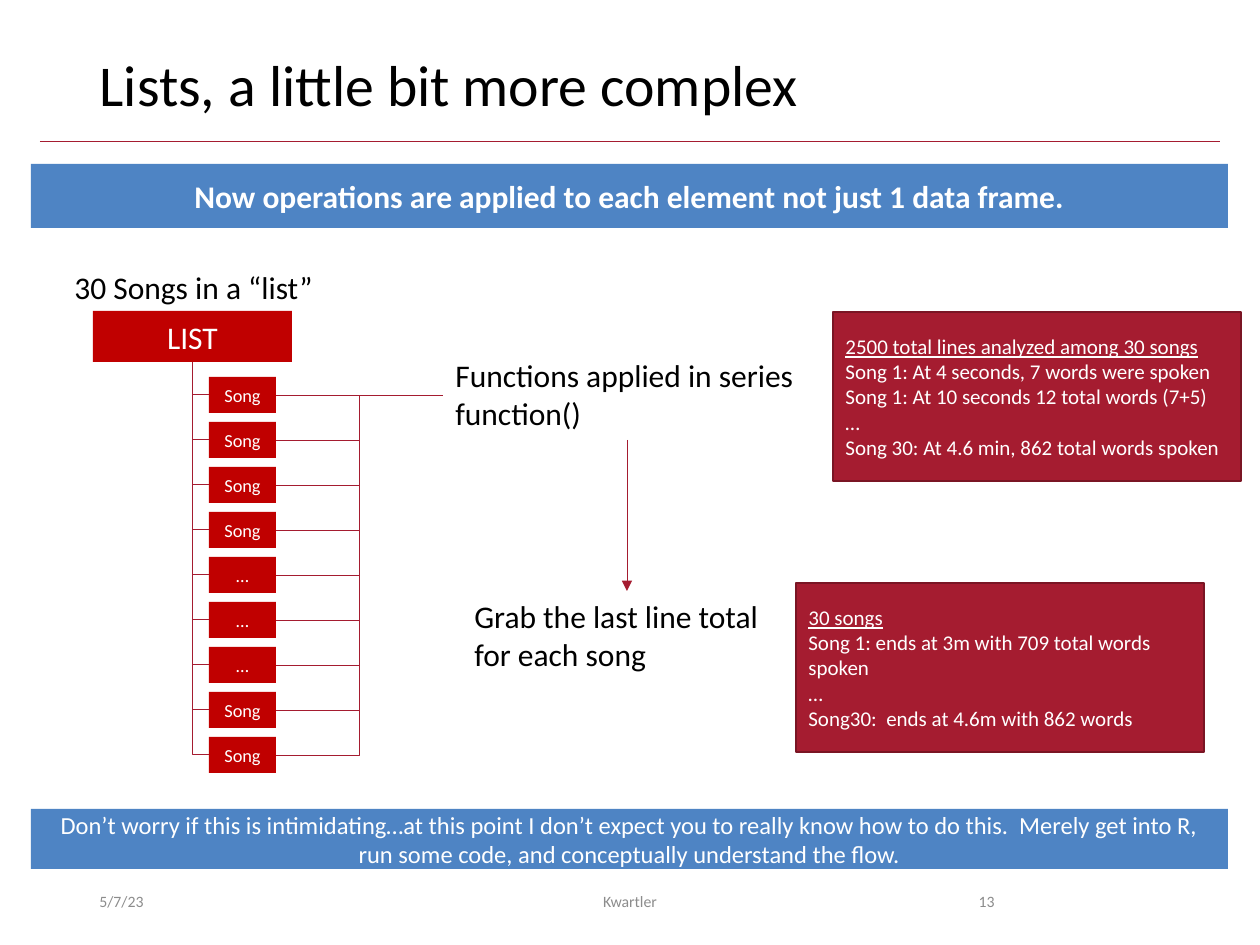
"""Build the slide that explains applying functions to a list of songs."""
from dataclasses import dataclass

from lxml import etree
from pptx import Presentation
from pptx.dml.color import RGBColor
from pptx.enum.shapes import MSO_CONNECTOR, MSO_SHAPE
from pptx.enum.text import MSO_ANCHOR, MSO_AUTO_SIZE, PP_ALIGN
from pptx.oxml.ns import qn
from pptx.shapes.autoshape import Shape
from pptx.shapes.connector import Connector
from pptx.slide import Slide
from pptx.util import Emu, Pt

RECTANGLE = MSO_SHAPE.RECTANGLE
STRAIGHT, ELBOW = MSO_CONNECTOR.STRAIGHT, MSO_CONNECTOR.ELBOW
TOP_ANCHOR, MIDDLE = MSO_ANCHOR.TOP, MSO_ANCHOR.MIDDLE
LEFT_ALIGN, CENTER, RIGHT_ALIGN = PP_ALIGN.LEFT, PP_ALIGN.CENTER, PP_ALIGN.RIGHT
NO_FIT, GROW = MSO_AUTO_SIZE.NONE, MSO_AUTO_SIZE.SHAPE_TO_FIT_TEXT
TOP, LEFT, BOTTOM, RIGHT = range(4)

BLACK = RGBColor(0x00, 0x00, 0x00)
WHITE = RGBColor(0xFF, 0xFF, 0xFF)
GRAY = RGBColor(0x8C, 0x8C, 0x8C)
BLUE = RGBColor(0x4E, 0x84, 0xC4)
RED = RGBColor(0xC0, 0x00, 0x00)
CRIMSON = RGBColor(0xA5, 0x1C, 0x30)
DARK_CRIMSON = RGBColor(0x7A, 0x15, 0x24)

FONT = "Calibri"
PX_PER_INCH = 126
EMU_PER_PX = 914400 / PX_PER_INCH
SONG_PITCH = 45
SONG_LABELS = ["Song"] * 4 + ["…"] * 3 + ["Song"] * 2


@dataclass(frozen=True)
class Area:
    """A rectangle in px."""

    left: int
    top: int
    width: int
    height: int

    def emu(self) -> list[Emu]:
        """Return left, top, width and height in EMU."""
        return [px(n) for n in (self.left, self.top, self.width, self.height)]


@dataclass(frozen=True)
class Words:
    """Paragraphs and the way they are set."""

    lines: tuple[str, ...]
    size: float
    color: RGBColor = BLACK
    align: PP_ALIGN = LEFT_ALIGN
    anchor: MSO_ANCHOR = TOP_ANCHOR
    bold: bool = False
    heading: bool = False
    wrap: bool = True
    fit: MSO_AUTO_SIZE = NO_FIT


LABELS = [
    (Area(87, 876, 284, 50), Words(("5/7/23",), 9, GRAY, LEFT_ALIGN, MIDDLE)),
    (Area(417, 876, 426, 50), Words(("Kwartler",), 9, GRAY, CENTER, MIDDLE)),
    (Area(889, 876, 118, 50), Words(("13",), 9, GRAY, RIGHT_ALIGN, MIDDLE)),
    (Area(62, 262, 266, 50), Words(("30 Songs in a “list”",), 18, wrap=False, fit=GROW)),
]
BANNERS = [
    (Area(31, 164, 1197, 64), Words(
        ("Now operations are applied to each element not just 1 data frame.",),
        18, WHITE, CENTER, MIDDLE, bold=True)),
    (Area(31, 809, 1197, 60), Words(
        ("Don’t worry if this is intimidating…at this point I don’t expect you to really know "
         "how to do this.  Merely get into R, run some code, and conceptually understand the flow.",),
        14, WHITE, CENTER, MIDDLE)),
]
RESULTS = [
    (Area(833, 312, 408, 169), (
        "2500 total lines analyzed among 30 songs",
        "Song 1: At 4 seconds, 7 words were spoken",
        "Song 1: At 10 seconds 12 total words (7+5)",
        "…",
        "Song 30: At 4.6 min, 862 total words spoken")),
    (Area(796, 583, 408, 169), (
        "30 songs",
        "Song 1: ends at 3m with 709 total words spoken",
        "…",
        "Song30:  ends at 4.6m with 862 words")),
]


def px(count: int) -> Emu:
    """Turn px into EMU."""
    return Emu(round(count * EMU_PER_PX))


def apply(target: object, values: dict) -> None:
    """Set each named attribute on the target."""
    for name, value in values.items():
        setattr(target, name, value)


def write(box: Shape, words: Words) -> None:
    """Put the paragraphs into the box and format them."""
    frame = box.text_frame
    apply(frame, {"word_wrap": words.wrap, "auto_size": words.fit,
                  "vertical_anchor": words.anchor})
    for index, line in enumerate(words.lines):
        para = frame.add_paragraph() if index else frame.paragraphs[0]
        para.alignment = words.align
        span = para.add_run()
        span.text = line
        apply(span.font, {"name": FONT, "size": Pt(words.size), "bold": words.bold,
                          "underline": words.heading and index == 0})
        span.font.color.rgb = words.color


def add_label(page: Slide, area: Area, words: Words) -> Shape:
    """Add a plain text box."""
    box = page.shapes.add_textbox(*area.emu())
    write(box, words)
    return box


def add_block(page: Slide, area: Area, words: Words, fill: RGBColor,
              border: RGBColor | None = None) -> Shape:
    """Add a filled rectangle with text."""
    box = page.shapes.add_shape(RECTANGLE, *area.emu())
    box.shadow.inherit = False
    box.fill.solid()
    box.fill.fore_color.rgb = fill
    if border is None:
        box.line.fill.background()
    else:
        box.line.color.rgb = border
        box.line.width = Pt(1)
    write(box, words)
    return box


def add_line(page: Slide, kind: MSO_CONNECTOR, start: tuple[int, int] = (0, 0),
             end: tuple[int, int] = (0, 0)) -> Connector:
    """Add a thin crimson connector without a shadow."""
    line = page.shapes.add_connector(kind, *map(px, start + end))
    line.line.color.rgb = CRIMSON
    line.line.width = Pt(0.5)
    etree.SubElement(line.element.spPr, qn("a:effectLst"))
    return line


def join(page: Slide, kind: MSO_CONNECTOR, first: Shape, first_side: int,
         second: Shape, second_side: int) -> Connector:
    """Connect the side middles of two boxes."""
    line = add_line(page, kind)
    line.begin_connect(first, first_side)
    line.end_connect(second, second_side)
    return line


def add_songs(page: Slide, list_box: Shape, function_box: Shape) -> None:
    """Add the song column and join it to the list and the function."""
    for row, label in enumerate(SONG_LABELS):
        area = Area(209, 377 + row * SONG_PITCH, 67, 36)
        song = add_block(page, area, Words((label,), 10.5, WHITE, CENTER, MIDDLE), RED)
        branch = join(page, ELBOW, song, LEFT, list_box, BOTTOM)
        branch.element.spPr.find(qn("a:prstGeom")).set("prst", "bentConnector2")
        join(page, ELBOW, function_box, LEFT, song, RIGHT)


def main() -> None:
    """Build and save the deck."""
    deck = Presentation()
    apply(deck, {"slide_width": px(1260), "slide_height": px(945)})
    page = deck.slides.add_slide(deck.slide_layouts[5])

    title = page.shapes.title
    apply(title, dict(zip(("left", "top", "width", "height"), Area(87, 50, 1086, 82).emu())))
    write(title, Words(("Lists, a little bit more complex",), 33))
    title.text_frame.paragraphs[0].line_spacing = 0.9
    add_line(page, STRAIGHT, (40, 141), (1220, 141))

    for area, words in LABELS:
        add_label(page, area, words)
    for area, words in BANNERS:
        add_block(page, area, words, BLUE)
    for area, lines in RESULTS:
        words = Words(lines, 12, WHITE, anchor=MIDDLE, heading=True)
        add_block(page, area, words, CRIMSON, DARK_CRIMSON)

    list_box = add_block(page, Area(93, 311, 199, 51),
                         Words(("LIST",), 18, WHITE, CENTER, MIDDLE), RED)
    function_box = add_label(page, Area(443, 350, 368, 90), Words(
        ("Functions applied in series", "function()"), 18, wrap=False, fit=GROW))
    total_box = add_label(page, Area(462, 591, 330, 90), Words(
        ("Grab the last line total for each song",), 18, fit=GROW))
    add_songs(page, list_box, function_box)

    arrow = join(page, STRAIGHT, function_box, BOTTOM, total_box, TOP)
    outline = arrow.element.spPr.find(qn("a:ln"))
    etree.SubElement(outline, qn("a:tailEnd"), type="triangle")

    deck.save("out.pptx")


if __name__ == "__main__":
    main()
